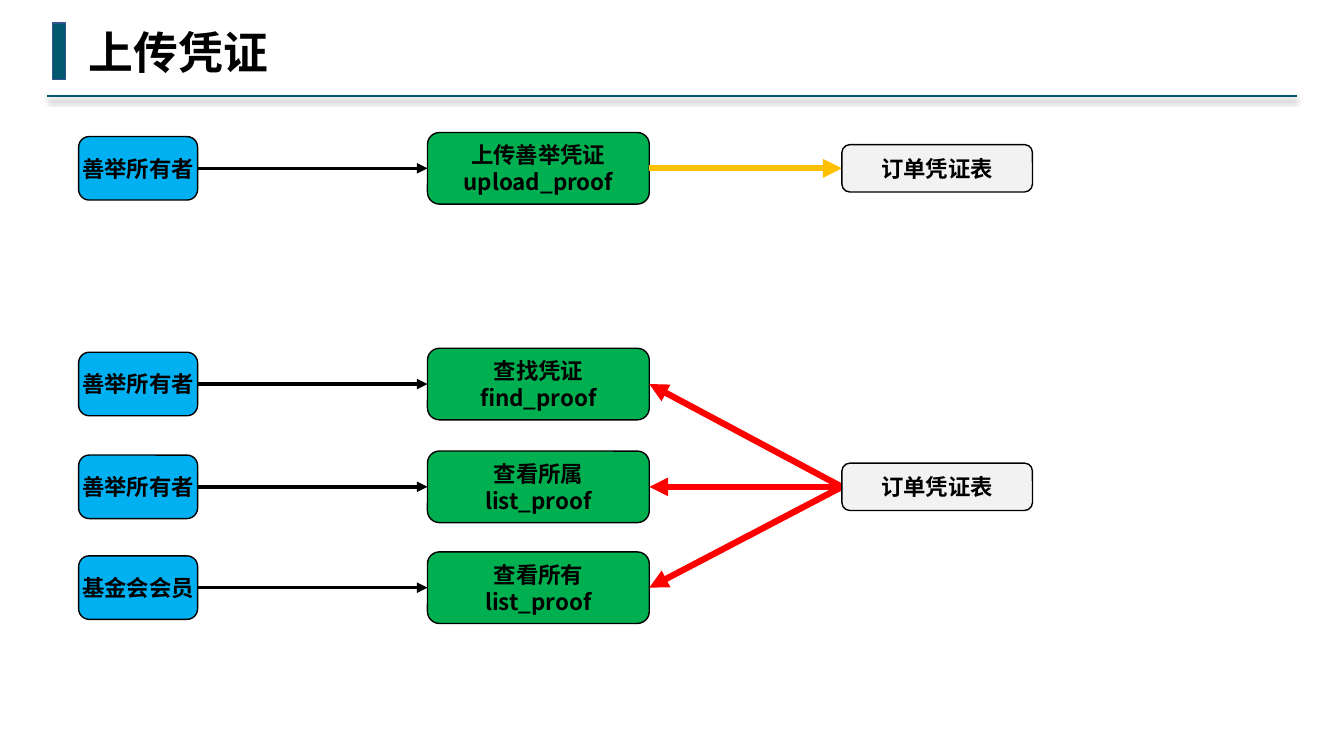
from dataclasses import dataclass
from typing import Optional

from lxml import etree
from pptx import Presentation
from pptx.dml import color
from pptx.enum import shapes, text
from pptx.oxml import ns
from pptx.util import Inches, Pt


# Theme: colours, fonts and type sizes
@dataclass(frozen=True)
class Theme:
    teal: str = "00576E"
    edge: str = "325491"
    ink: str = "000000"
    blue: str = "00B0F0"
    green: str = "00B050"
    grey: str = "F2F2F2"
    gold: str = "FFC000"
    red: str = "FF0000"
    font: str = "Noto Sans CJK SC"
    mono: str = "Courier New"
    head: int = 32
    body: int = 16


T = Theme()


# Columns of boxes, and the rows of the flow
@dataclass(frozen=True)
class Column:
    left: float
    width: float
    height: float
    fill: str

    @property
    def right(self) -> float:
        return self.left + self.width


@dataclass(frozen=True)
class Row:
    mid: float
    actor: str
    call: tuple[str, str]


@dataclass(frozen=True)
class Table:
    mid: float
    label: str


ACTOR = Column(0.78, 1.18, 0.63, T.blue)
CALL = Column(4.24, 2.2, 0.71, T.green)
TABLE = Column(8.35, 1.89, 0.47, T.grey)

WRITE = Row(1.67, "善举所有者", ("上传善举凭证", "upload_proof"))
READS = (
    Row(3.81, "善举所有者", ("查找凭证", "find_proof")),
    Row(4.83, "善举所有者", ("查看所属", "list_proof")),
    Row(5.83, "基金会会员", ("查看所有", "list_proof")),
)
STORE = Table(WRITE.mid, "订单凭证表")
SOURCE = Table(READS[1].mid, "订单凭证表")


def rgb(code: str) -> color.RGBColor:
    return color.RGBColor.from_string(code)


def add_run(para, words: str, size: int, font: str) -> None:
    run = para.add_run()
    run.text = words
    run.font.size = Pt(size)
    run.font.bold = True
    run.font.name = font
    run.font.color.rgb = rgb(T.ink)
    latin = run.font._element.find(ns.qn("a:latin"))
    east = etree.Element(ns.qn("a:ea"), typeface=T.font)
    latin.addnext(east)


def add_block(slide, kind, left: float, top: float, width: float,
              height: float, fill: str, edge: str):
    block = slide.shapes.add_shape(
        kind, Inches(left), Inches(top), Inches(width), Inches(height))
    block.shadow.inherit = False
    block.fill.solid()
    block.fill.fore_color.rgb = rgb(fill)
    block.line.color.rgb = rgb(edge)
    block.line.width = Pt(1)
    return block


def add_box(slide, col: Column, mid: float, *lines: str) -> None:
    box = add_block(slide, shapes.MSO_SHAPE.ROUNDED_RECTANGLE, col.left,
                    mid - col.height / 2, col.width, col.height,
                    col.fill, T.ink)
    frame = box.text_frame
    frame.word_wrap = False
    frame.vertical_anchor = text.MSO_ANCHOR.MIDDLE
    frame.margin_left = frame.margin_right = Inches(0.04)
    frame.margin_top = frame.margin_bottom = Inches(0.04)
    for i, words in enumerate(lines):
        para = frame.add_paragraph() if i else frame.paragraphs[0]
        para.alignment = text.PP_ALIGN.CENTER
        add_run(para, words, T.body, T.font)


def add_line(slide, start: tuple[float, float], end: tuple[float, float],
             hue: str, width: float, arrow: Optional[str] = "triangle"):
    line = slide.shapes.add_connector(
        shapes.MSO_CONNECTOR.STRAIGHT, *map(Inches, start + end))
    line.line.color.rgb = rgb(hue)
    line.line.width = Pt(width)
    props = line._element.spPr
    if arrow:
        etree.SubElement(props.find(ns.qn("a:ln")), ns.qn("a:tailEnd"),
                         type=arrow)
    return etree.SubElement(props, ns.qn("a:effectLst"))


def add_head(slide, words: str) -> None:
    # Rule with a soft shadow, and the accent bar
    effect = add_line(slide, (12.86, 0.95), (0.47, 0.95), T.teal, 1.5, None)
    shade = etree.SubElement(
        effect, ns.qn("a:outerShdw"), blurRad=str(Pt(4)), dist=str(Pt(3)),
        dir="5400000", algn="t", rotWithShape="0")
    tint = etree.SubElement(shade, ns.qn("a:srgbClr"), val=T.ink)
    etree.SubElement(tint, ns.qn("a:alpha"), val="40000")
    add_block(slide, shapes.MSO_SHAPE.RECTANGLE, 0.52, 0.23, 0.13, 0.56,
              T.teal, T.edge)

    # Title
    title = slide.shapes.title
    title.left, title.top = Inches(0.78), Inches(0.19)
    title.width, title.height = Inches(2), Inches(0.64)
    frame = title.text_frame
    frame.word_wrap = False
    frame.auto_size = text.MSO_AUTO_SIZE.SHAPE_TO_FIT_TEXT
    frame.vertical_anchor = text.MSO_ANCHOR.TOP
    para = frame.paragraphs[0]
    para.alignment = text.PP_ALIGN.LEFT
    add_run(para, words, T.head, T.mono)


def main() -> None:
    deck = Presentation()
    deck.slide_width, deck.slide_height = Inches(13.33), Inches(7.5)
    slide = deck.slides.add_slide(deck.slide_layouts[5])
    add_head(slide, "上传凭证")

    # Actors and the calls they make
    for row in (WRITE, *READS):
        add_box(slide, ACTOR, row.mid, row.actor)
        add_box(slide, CALL, row.mid, *row.call)
        add_line(slide, (ACTOR.right, row.mid), (CALL.left, row.mid),
                 T.ink, 2.5)

    # Data written to and read from the tables
    add_line(slide, (CALL.right, WRITE.mid), (TABLE.left, STORE.mid),
             T.gold, 4.5)
    for row in READS:
        add_line(slide, (TABLE.left, SOURCE.mid), (CALL.right, row.mid),
                 T.red, 4.5)
    for table in (STORE, SOURCE):
        add_box(slide, TABLE, table.mid, table.label)

    deck.save("out.pptx")


if __name__ == "__main__":
    main()
